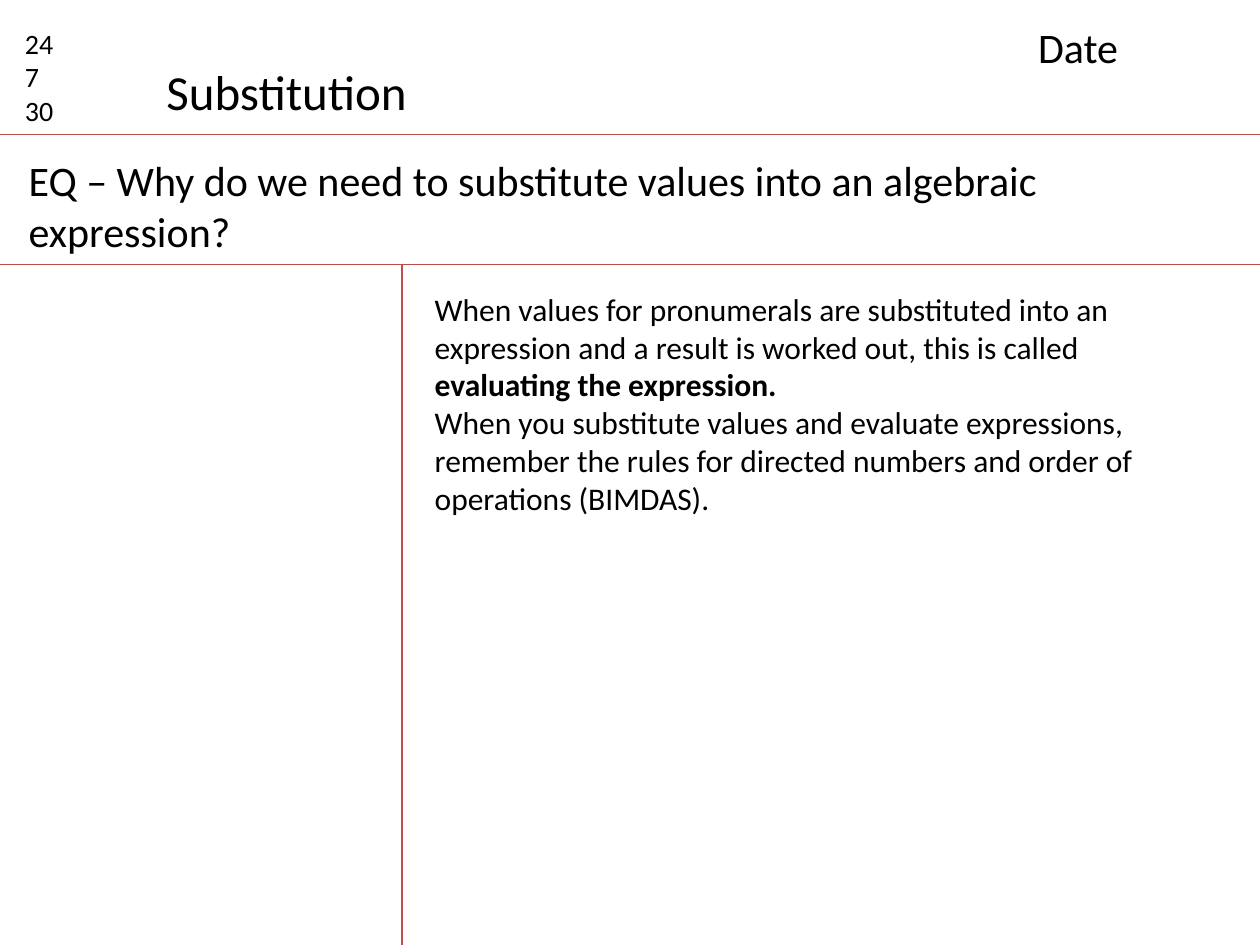
from dataclasses import dataclass

from lxml.etree import SubElement
from pptx import Presentation
from pptx.dml.color import RGBColor
from pptx.enum.shapes import MSO_CONNECTOR
from pptx.enum.text import MSO_ANCHOR, MSO_AUTO_SIZE, PP_ALIGN
from pptx.oxml.ns import qn
from pptx.util import Inches, Pt


@dataclass(frozen=True)
class Theme:
    """Colours, font and type sizes of the slide."""
    font: str = "Calibri"
    ink: RGBColor = RGBColor(0x00, 0x00, 0x00)
    rule: RGBColor = RGBColor(0xBF, 0x4C, 0x48)
    rule_width: float = 0.75
    title: int = 28
    heading: int = 24
    body: int = 18
    counter: int = 16


@dataclass(frozen=True)
class Rule:
    """A straight line between two points, in inches."""
    x1: float
    y1: float
    x2: float
    y2: float


@dataclass(frozen=True)
class Label:
    """A block of text with its box in inches."""
    text: str
    left: float
    top: float
    width: float
    height: float
    size: int
    wrap: bool = True


THEME = Theme()
WIDTH, HEIGHT = 10, 7.5
HEADER_Y, QUESTION_Y, MARGIN_X = 1.07, 2.1, 3.19

RULES = [
    Rule(0, HEADER_Y, WIDTH, HEADER_Y),
    Rule(0, QUESTION_Y, WIDTH, QUESTION_Y),
    Rule(MARGIN_X, QUESTION_Y, MARGIN_X, HEIGHT),
]
TITLE = Label("Substitution", 1.22, 0.44, 2.14, 0.57, THEME.title, wrap=False)
NOTES = Label(
    "When values for pronumerals are substituted into an expression and a "
    "result is worked out, this is called \n"
    "When you substitute values and evaluate expressions, remember the rules "
    "for directed numbers and order of operations (BIMDAS).",
    3.35, 2.25, 6.38, 1.92, THEME.body)
KEY_TERM = "evaluating the expression."
LABELS = [
    Label("24\n7\n30", 0.1, 0.16, 0.63, 0.91, THEME.counter),
    Label("Date", 8.14, 0.12, 1.73, 0.5, THEME.heading),
    Label("EQ – Why do we need to substitute values into an algebraic expression?",
          0.13, 1.18, 9.43, 0.91, THEME.heading),
]


def draw_rule(s, rule: Rule) -> None:
    """Draw one ruled line without a shadow."""
    line = s.shapes.add_connector(
        MSO_CONNECTOR.STRAIGHT, Inches(rule.x1), Inches(rule.y1),
        Inches(rule.x2), Inches(rule.y2))
    line.line.color.rgb = THEME.rule
    line.line.width = Pt(THEME.rule_width)
    SubElement(line._element.spPr, qn("a:effectLst"))


def style_run(r, size: int, bold: bool = False) -> None:
    """Apply the theme font to a run."""
    r.font.name = THEME.font
    r.font.size = Pt(size)
    r.font.bold = bold
    r.font.color.rgb = THEME.ink


def fill_text(sp, label: Label) -> None:
    """Place a shape and set its plain, left-aligned text."""
    sp.left, sp.top = Inches(label.left), Inches(label.top)
    sp.width, sp.height = Inches(label.width), Inches(label.height)
    tf = sp.text_frame
    tf.text = label.text
    tf.word_wrap = label.wrap
    tf.auto_size = MSO_AUTO_SIZE.SHAPE_TO_FIT_TEXT
    tf.vertical_anchor = MSO_ANCHOR.TOP
    for p in tf.paragraphs:
        pPr = p._p.get_or_add_pPr()
        pPr.set("marL", "0")
        pPr.set("indent", "0")
        SubElement(pPr, qn("a:buNone"))
        p.alignment = PP_ALIGN.LEFT
        p.space_before = Pt(0)
        for r in p.runs:
            style_run(r, label.size)


def main() -> None:
    """Build the note-taking slide."""
    prs = Presentation()
    prs.slide_width, prs.slide_height = Inches(WIDTH), Inches(HEIGHT)
    s = prs.slides.add_slide(prs.slide_layouts[1])
    fill_text(s.shapes.title, TITLE)
    body = s.placeholders[1]
    fill_text(body, NOTES)
    r = body.text_frame.paragraphs[0].add_run()
    r.text = KEY_TERM
    style_run(r, NOTES.size, bold=True)
    for rule in RULES:
        draw_rule(s, rule)
    for label in LABELS:
        sp = s.shapes.add_textbox(0, 0, 0, 0)
        fill_text(sp, label)
    prs.save("out.pptx")


if __name__ == "__main__":
    main()
